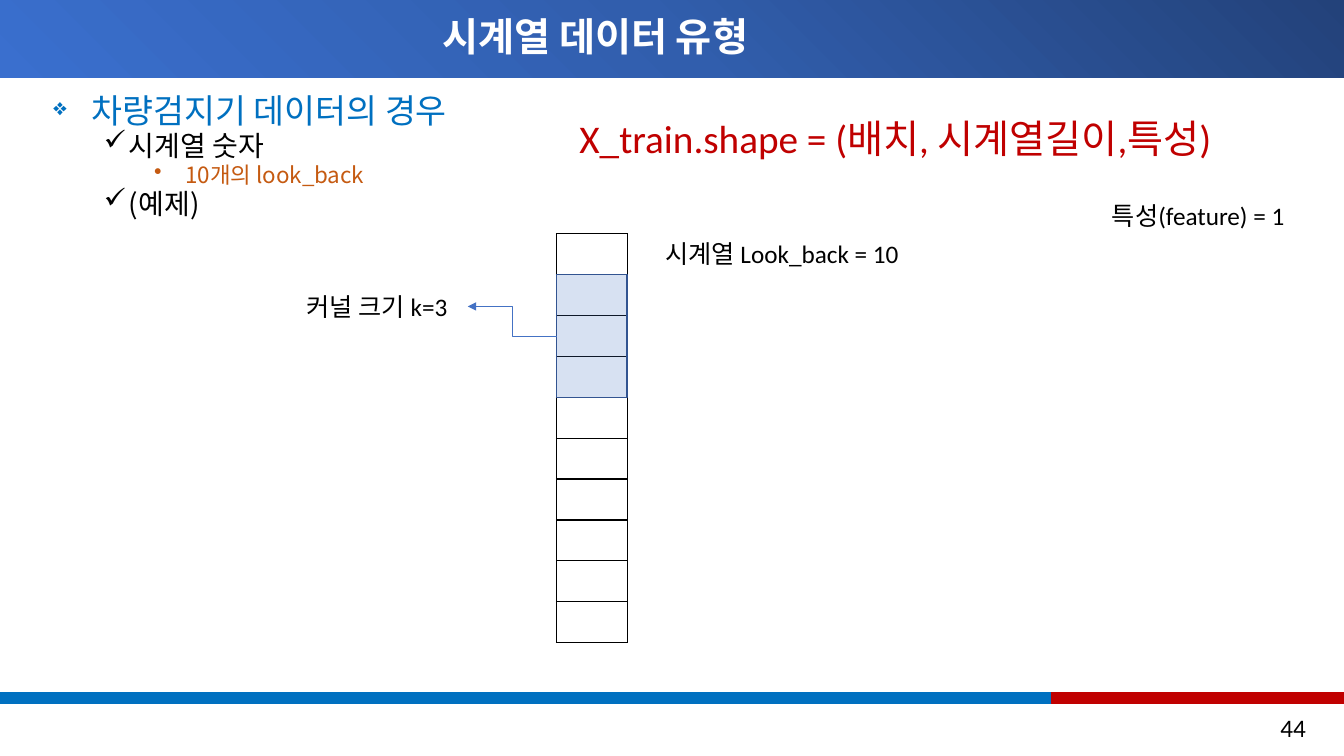
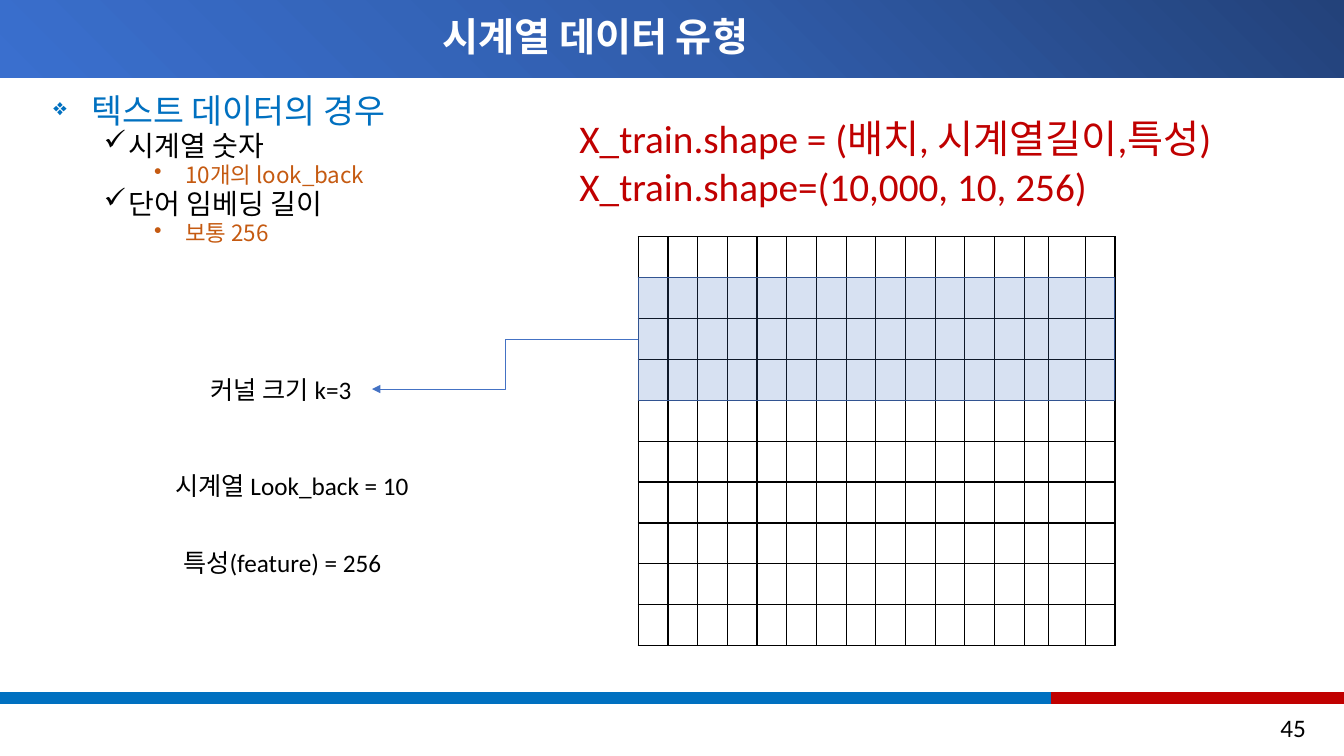
"""Builds two slides on the shapes of time-series training data."""
from lxml import etree
from pptx import Presentation
from pptx.dml.color import RGBColor
from pptx.enum.shapes import MSO_CONNECTOR as CONN, MSO_SHAPE as SHAPE
from pptx.enum.text import MSO_ANCHOR as ANCHOR, PP_ALIGN as ALIGN
from pptx.oxml import parse_xml
from pptx.oxml.ns import nsdecls, qn
from pptx.util import Inches, Pt

KOREAN, LATIN = "Noto Sans CJK KR", "Calibri"
BLACK, WHITE, BLUE, RED = "000000", "FFFFFF", "0070C0", "C00000"
ACCENT, EDGE, ORANGE = "4472C4", "325491", "C55A11"
TITLE = "시계열 데이터 유형 "
SHAPE_RULE = "X_train.shape = (배치, 시계열길이,특성)"
LABEL_H, ROW_H, ROWS, KERNEL = 5.33, 5.41, 10, 3
BAND_H, STRIP_Y, STRIP_H, SPLIT = 10.27, 91.6, 1.47, 78.24

# size, colour, left margin, hanging indent, bullet, bullet percent
LEVELS = [
    (24, BLUE, 0.38, -0.38, "❖", 70),
    (20, BLACK, 0.75, -0.25, "✓", 100),
    (16, ORANGE, 1.31, -0.31, "•", 100),
]

SLIDES = [
    dict(
        number="44",
        body=[(0, "차량검지기 데이터의 경우"), (1, "시계열 숫자"),
              (2, "10개의 look_back"), (1, "(예제)")],
        formula=[SHAPE_RULE],
        grid=(41.41, 30.93, [5.25]),
        kernel=(22.06, 37.87),
        labels=[(48.76, 30.93, 19.5, "시계열 Look_back = 10"),
                (82, 25.87, 14.78, "특성(feature) = 1")],
    ),
    dict(
        number="45",
        body=[(0, "텍스트 데이터의 경우"), (1, "시계열 숫자"),
              (2, "10개의 look_back"), (1, "단어 임베딩 길이"), (2, "보통 256")],
        formula=[SHAPE_RULE, "X_train.shape=(10,000, 10, 256)"],
        grid=(47.49, 31.33, [2.21] * 13 + [1.76, 2.75, 2.21]),
        kernel=(14.93, 48.8),
        labels=[(12.3, 61.6, 19.5, "시계열 Look_back = 10"),
                (12.9, 71.73, 16.73, "특성(feature) = 256")],
    ),
]

prs = Presentation()
prs.slide_width, prs.slide_height = Inches(13.33), Inches(7.5)


def rgb(color, value):
    """Set a colour format from a hex string."""
    color.rgb = RGBColor.from_string(value)


def write(s, box, lines, size=18, color=BLACK, font=LATIN, wrap=True):
    """Add a text box placed in percent of the slide and return its frame."""
    l, t, w, h = box
    tf = s.shapes.add_textbox(
        int(prs.slide_width * l / 100), int(prs.slide_height * t / 100),
        int(prs.slide_width * w / 100), int(prs.slide_height * h / 100)).text_frame
    tf.word_wrap = wrap
    tf.text = "\n".join(lines)
    for p in tf.paragraphs:
        for r in p.runs:
            r.font.size, r.font.name = Pt(size), font
            rgb(r.font.color, color)
            etree.SubElement(r.font._element, qn("a:ea"), typeface=font)
    return tf


X, Y = prs.slide_width / 100, prs.slide_height / 100

for page in SLIDES:
    s = prs.slides.add_slide(prs.slide_layouts[6])

    for l, t, w, h, color in [(0, 0, 100, BAND_H, None),
                              (0, STRIP_Y, SPLIT, STRIP_H, BLUE),
                              (SPLIT, STRIP_Y, 100 - SPLIT, STRIP_H, RED)]:
        sp = s.shapes.add_shape(SHAPE.RECTANGLE, int(X * l), int(Y * t), int(X * w), int(Y * h))
        sp.shadow.inherit = False
        if color:
            sp.fill.solid()
            rgb(sp.fill.fore_color, color)
            rgb(sp.line.color, color)
            sp.line.width = Pt(1)
        else:
            sp.line.fill.background()
            stops = "".join(
                f'<a:gs pos="{pos}"><a:srgbClr val="{val}"/></a:gs>'
                for pos, val in [(0, "23427A"), (50000, "315EAD"), (100000, "3A6FCE")])
            sp._element.spPr.find(qn("a:prstGeom")).addnext(parse_xml(
                f'<a:gradFill {nsdecls("a")} rotWithShape="1"><a:gsLst>{stops}</a:gsLst>'
                '<a:path path="circle"><a:fillToRect l="100000" b="100000"/></a:path>'
                '</a:gradFill>'))

    tf = write(s, (80.27, 93.6, 17.63, LABEL_H), [page["number"]])
    tf.paragraphs[0].alignment = ALIGN.RIGHT

    tf = write(s, (3.23, 0, 82.75, BAND_H), [TITLE], 28, WHITE, KOREAN)
    tf.vertical_anchor = ANCHOR.MIDDLE
    p = tf.paragraphs[0]
    p.alignment, p.line_spacing = ALIGN.CENTER, 0.9
    p.runs[0].font.bold = True

    tf = write(s, (3.23, 12.27, 94.75, 74.93), [text for _, text in page["body"]], font=KOREAN)
    for i, (p, (level, _)) in enumerate(zip(tf.paragraphs, page["body"])):
        size, color, margin, indent, bullet, percent = LEVELS[level]
        pPr = p._p.get_or_add_pPr()
        pPr.set("marL", str(Inches(margin)))
        pPr.set("indent", str(Inches(indent)))
        etree.SubElement(pPr, qn("a:buSzPct"), val=str(percent * 1000))
        etree.SubElement(pPr, qn("a:buChar"), char=bullet)
        p.level, p.line_spacing = level, 0.8
        p.space_before = Pt(3.5 if i else 0)
        r = p.runs[0]
        r.font.size = Pt(size)
        rgb(r.font.color, color)

    tf = write(s, (38.63, 14.53, 57.61, 7.6), page["formula"], 28, RED)
    for p in tf.paragraphs:
        p._p.get_or_add_pPr().set("marL", str(Inches(0.5)))

    left, top, cols = page["grid"]
    width = sum(cols)
    frame = s.shapes.add_table(ROWS, len(cols), int(X * left), int(Y * top),
                               int(X * width), int(Y * ROW_H * ROWS))
    table = frame.table
    table.first_row = table.horz_banding = False
    for col, w in zip(table.columns, cols):
        col.width = int(X * w)
    for row in table.rows:
        row.height = int(Y * ROW_H)
        for cell in row.cells:
            cell.margin_top = cell.margin_bottom = 0
            cell.fill.background()
            tcPr = cell._tc.get_or_add_tcPr()
            for i, side in enumerate(("lnL", "lnR", "lnT", "lnB")):
                tcPr.insert(i, parse_xml(
                    f'<a:{side} {nsdecls("a")} w="{Pt(1)}"><a:solidFill>'
                    f'<a:srgbClr val="{BLACK}"/></a:solidFill></a:{side}>'))

    sp = s.shapes.add_shape(SHAPE.RECTANGLE, int(X * left), int(Y * (top + ROW_H)),
                            int(X * width), int(Y * ROW_H * KERNEL))
    sp.shadow.inherit = False
    sp.fill.solid()
    rgb(sp.fill.fore_color, ACCENT)
    etree.SubElement(sp._element.spPr.find(qn("a:solidFill"))[0], qn("a:alpha"), val="21000")
    rgb(sp.line.color, EDGE)
    sp.line.width = Pt(1)

    kx, ky = page["kernel"]
    for l, t, w, text in [(kx, ky, 12.75, "커널 크기 k=3")] + page["labels"]:
        write(s, (l, t, w, LABEL_H), [text], wrap=False)

    arrow = s.shapes.add_connector(
        CONN.ELBOW, int(X * left), int(Y * (top + ROW_H * (1 + KERNEL / 2))),
        int(X * (kx + 12.75)), int(Y * (ky + LABEL_H / 2)))
    rgb(arrow.line.color, ACCENT)
    arrow.line.width = Pt(0.5)
    etree.SubElement(arrow.line._get_or_add_ln(), qn("a:tailEnd"), type="triangle")
    etree.SubElement(arrow._element.spPr, qn("a:effectLst"))

prs.save("out.pptx")
